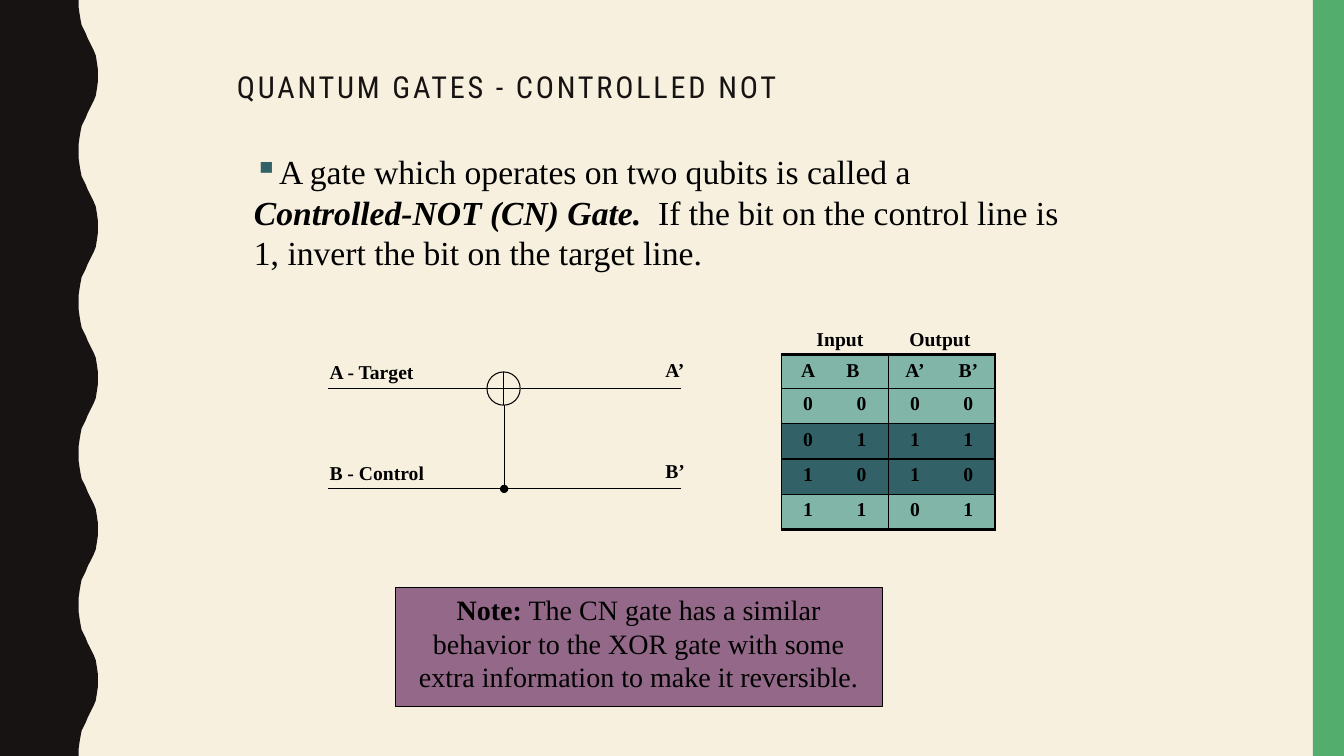
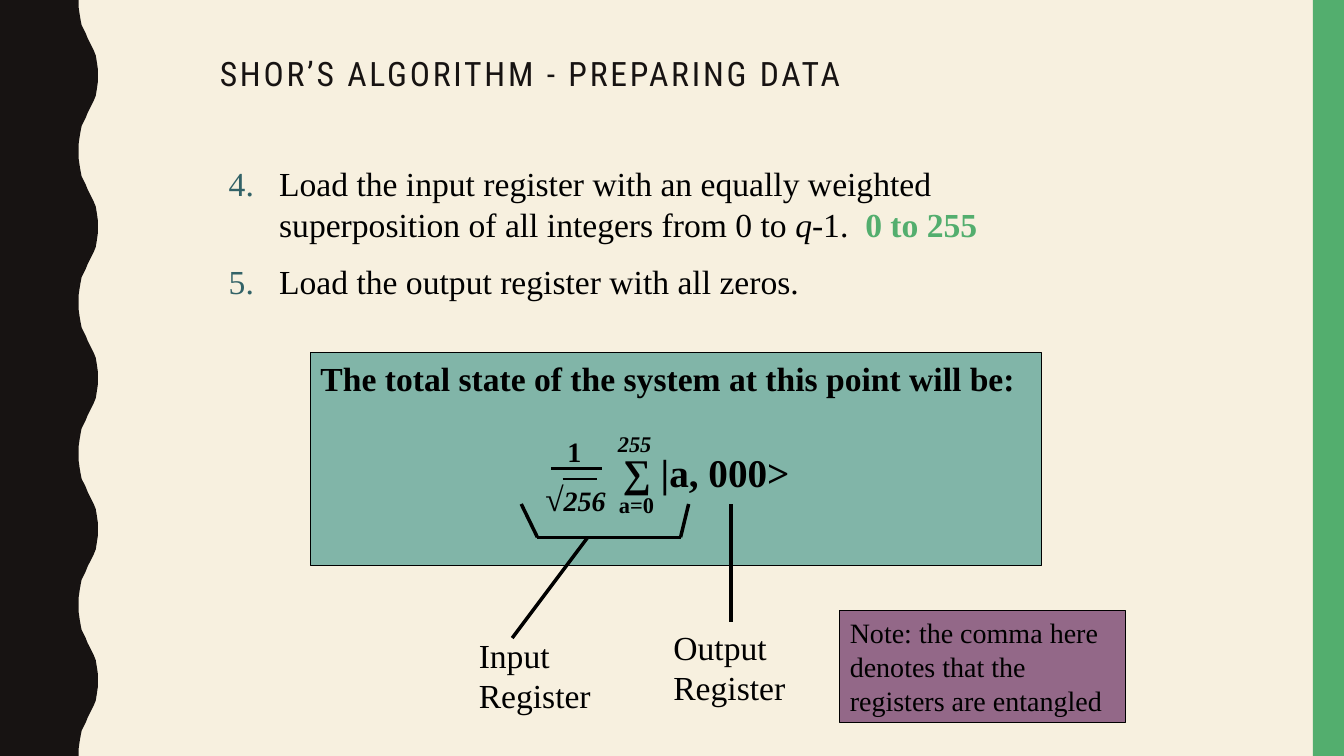
from lxml import etree
from pptx import Presentation
from pptx.dml.color import RGBColor
from pptx.enum.shapes import MSO_CONNECTOR, MSO_SHAPE
from pptx.enum.text import MSO_ANCHOR, MSO_AUTO_SIZE, PP_ALIGN
from pptx.oxml.ns import qn
from pptx.util import Inches, Pt

STRAIGHT = MSO_CONNECTOR.STRAIGHT
RECT, GATE = MSO_SHAPE.RECTANGLE, MSO_SHAPE.FLOWCHART_OR
TOP, MIDDLE = MSO_ANCHOR.TOP, MSO_ANCHOR.MIDDLE
LEFT, CENTER = PP_ALIGN.LEFT, PP_ALIGN.CENTER
NO_FIT = MSO_AUTO_SIZE.NONE

COLORS = {
    "paper": "F7F0DF", "ink": "171312", "black": "000000", "green": "53AE6E",
    "teal": "326267", "mint": "81B5A8", "plum": "936888",
}
TITLE_FONT, BODY_FONT = "Roboto Condensed", "Times New Roman"
WAVE_PERIOD, WAVE_COUNT = 150, 5
HALF_WAVE = [(78, 0), (78, 7), (79, 14), (80, 20), (81, 25), (83, 29), (85, 33),
             (87, 38), (89, 42), (91, 46), (93, 50), (95, 55), (96, 61), (97, 68), (97, 75)]


def rgb(name):
    return RGBColor.from_string(COLORS[name])


def add_text(p, text, size=24, font=BODY_FONT, color="black", bold=False, italic=False, spacing=0):
    r = p.add_run()
    r.text = text
    r.font.size, r.font.name = Pt(size), font
    r.font.bold, r.font.italic = bold, italic
    r.font.color.rgb = rgb(color)
    if spacing:
        r.font._element.set("spc", str(spacing * 100))


def add_box(slide, x, y, w, h):
    sp = slide.shapes.add_textbox(Inches(x), Inches(y), Inches(w), Inches(h))
    sp.text_frame.word_wrap = True
    return sp.text_frame


def add_label(slide, text, x, y, w, h, **fmt):
    add_text(add_box(slide, x, y, w, h).paragraphs[0], text, **fmt)


def add_shape(slide, kind, x, y, w, h, fill=None, line=None):
    sp = slide.shapes.add_shape(kind, Inches(x), Inches(y), Inches(w), Inches(h))
    paint(sp, fill, line)
    return sp


def paint(sp, fill, line=None):
    sp.shadow.inherit = False
    if fill:
        sp.fill.solid()
        sp.fill.fore_color.rgb = rgb(fill)
    else:
        sp.fill.background()
    if line:
        sp.line.color.rgb = rgb("black")
        sp.line.width = Pt(line)
    else:
        sp.line.fill.background()


def add_panel(slide, x, y, w, h, fill, align=LEFT):
    tf = add_shape(slide, RECT, x, y, w, h, fill, 0.75).text_frame
    tf.word_wrap, tf.vertical_anchor = True, TOP
    tf.paragraphs[0].alignment = align
    return tf.paragraphs[0]


def add_line(slide, x1, y1, x2, y2, width=0.75, dot=False):
    cxn = slide.shapes.add_connector(STRAIGHT, Inches(x1), Inches(y1), Inches(x2), Inches(y2))
    cxn.line.color.rgb = rgb("black")
    cxn.line.width = Pt(width)
    if dot:
        etree.SubElement(cxn.line._get_or_add_ln(), qn("a:tailEnd"), type="oval")
    etree.SubElement(cxn._element.spPr, qn("a:effectLst"))


def add_bullet(p, tag, indent=0, **attrs):
    pPr = p._p.get_or_add_pPr()
    pPr.set("marL", str(Inches(indent)))
    pPr.set("indent", str(-Inches(indent)))
    clr = etree.SubElement(pPr, qn("a:buClr"))
    etree.SubElement(clr, qn("a:srgbClr"), val=COLORS["teal"])
    etree.SubElement(pPr, qn(tag), **attrs)


def add_wave(slide):
    edge = []
    for k in range(WAVE_COUNT):
        start, end = k * WAVE_PERIOD, (k + 1) * WAVE_PERIOD
        edge += [(x, start + y) for x, y in HALF_WAVE]
        edge += [(x, end - y) for x, y in reversed(HALF_WAVE[:-1])]
    fb = slide.shapes.build_freeform(0, 0, scale=Inches(0.01))
    fb.add_line_segments(edge + [(0, WAVE_COUNT * WAVE_PERIOD)], close=True)
    paint(fb.convert_to_shape(), "ink")


def add_slide(prs, title, x, y, w, h, size):
    slide = prs.slides.add_slide(prs.slide_layouts[5])
    add_wave(slide)
    add_shape(slide, RECT, 13.02, 0, 0.31, 7.5, "green")
    sp = slide.shapes.title
    sp.left, sp.top, sp.width, sp.height = Inches(x), Inches(y), Inches(w), Inches(h)
    tf = sp.text_frame
    tf.word_wrap, tf.auto_size, tf.vertical_anchor = True, NO_FIT, MIDDLE
    p = tf.paragraphs[0]
    p.alignment, p.line_spacing = LEFT, 0.9
    add_text(p, title, size=size, font=TITLE_FONT, color="ink", spacing=2)
    return slide


def set_borders(cell, **widths):
    tcPr = cell._tc.get_or_add_tcPr()
    for side in "LRTB":
        width = widths[side]
        ln = etree.SubElement(tcPr, qn("a:ln" + side), w=str(Pt(width)))
        if width:
            fill = etree.SubElement(ln, qn("a:solidFill"))
            etree.SubElement(fill, qn("a:srgbClr"), val=COLORS["black"])
        else:
            etree.SubElement(ln, qn("a:noFill"))


def add_truth_table(slide, rows, x, y, col_w, row_heights):
    n_rows, n_cols = len(rows), len(rows[0])
    frame = slide.shapes.add_table(n_rows, n_cols, Inches(x), Inches(y),
                                   Inches(col_w * n_cols), Inches(sum(row_heights)))
    table = frame.table
    table.first_row = table.horz_banding = False
    for col in table.columns:
        col.width = Inches(col_w)
    for i, values in enumerate(rows):
        table.rows[i].height = Inches(row_heights[i])
        for j, value in enumerate(values):
            cell = table.cell(i, j)
            set_borders(cell, L=1 if j in (0, 2) else 0,
                        R={1: 1, n_cols - 1: 2.25}.get(j, 0),
                        T=2.25 if i == 0 else 1,
                        B=2.25 if i == n_rows - 1 else 1)
            cell.fill.solid()
            cell.fill.fore_color.rgb = rgb("teal" if i in (2, 3) else "mint")
            if value == "B":
                cell.margin_right = Inches(0.27)
            p = cell.text_frame.paragraphs[0]
            p.alignment = CENTER
            add_text(p, value, size=14, bold=True)


def build_gate_slide(prs):
    slide = add_slide(prs, "QUANTUM GATES - CONTROLLED NOT", 2.25, 0.67, 9, 0.42, 21.6)
    p = add_box(slide, 2.42, 1.45, 8.28, 1.31).paragraphs[0]
    add_bullet(p, "a:buChar", char="▪")
    add_text(p, "A gate which operates on two qubits is called a ")
    add_text(p, "Controlled-NOT (CN) Gate.  ", bold=True, italic=True)
    add_text(p, "If the bit on the control line is 1, invert the bit on the target line.")

    add_shape(slide, GATE, 4.83, 3.69, 0.33, 0.33, line=0.75)
    add_line(slide, 4.83, 3.85, 3.25, 3.85)
    add_line(slide, 6.75, 3.85, 5.17, 3.85)
    add_line(slide, 3.25, 4.85, 6.75, 4.85)
    add_line(slide, 5, 4.02, 5, 4.85, dot=True)
    for text, x, y, w in [("A - Target", 3.17, 3.52, 1.25), ("B - Control", 3.17, 4.52, 1.17),
                          ("A’", 6.5, 3.5, 0.52), ("B’", 6.5, 4.5, 0.52),
                          ("Input", 8, 3.19, 0.73), ("Output", 8.92, 3.19, 0.92)]:
        add_label(slide, text, x, y, w, 0.33, size=14, bold=True)

    rows = [("A", "B", "A’", "B’"), "0000", "0111", "1010", "1101"]
    add_truth_table(slide, rows, 7.75, 3.52, 0.53, [0.33] + [0.35] * 4)

    p = add_panel(slide, 3.92, 5.83, 4.83, 1.18, "plum", CENTER)
    add_text(p, "Note:", size=20, bold=True)
    add_text(p, " The CN gate has a similar behavior to the XOR gate with some "
                "extra information to make it reversible.", size=20)


def build_shor_slide(prs):
    slide = add_slide(prs, "SHOR’S ALGORITHM - PREPARING DATA", 2.08, 0.5, 9, 0.5, 24)
    tf = add_box(slide, 2.17, 1.57, 8.92, 1.51)
    load_input, load_output = tf.paragraphs[0], tf.add_paragraph()
    for p in (load_input, load_output):
        add_bullet(p, "a:buAutoNum", 0.5, type="arabicPeriod", startAt="4")
    add_text(load_input, "Load the input register with an equally weighted "
                         "superposition of all integers from 0 to ")
    add_text(load_input, "q", italic=True)
    add_text(load_input, "-1.  ")
    add_text(load_input, "0 to 255", color="green", bold=True)
    load_output.space_before = Pt(12)
    add_text(load_output, "Load the output register with all zeros.")

    p = add_panel(slide, 3.08, 3.5, 7.25, 2.11, "mint")
    add_text(p, "The total state of the system at this point will be:", bold=True)

    add_line(slide, 5.47, 4.65, 5.97, 4.65, 1.75)
    add_line(slide, 5.58, 4.75, 5.92, 4.75, 1.75)
    add_label(slide, "1", 5.53, 4.26, 0.33, 0.43, size=20, bold=True)
    p = add_box(slide, 5.31, 4.69, 1.03, 0.5).paragraphs[0]
    add_text(p, "√", bold=True)
    add_text(p, "256", size=20, bold=True, italic=True)
    add_label(slide, "∑ |a, 000>", 6.08, 4.4, 2.08, 0.57, size=28, bold=True)
    add_label(slide, "a=0", 6.04, 4.82, 0.58, 0.37, size=16, bold=True)
    add_label(slide, "255", 6.03, 4.22, 0.58, 0.37, size=16, bold=True, italic=True)

    for ends in [(5.33, 5.33, 6.75, 5.33), (6.75, 5.33, 6.83, 5), (5.33, 5.33, 5.17, 5),
                 (5.83, 5.33, 5.08, 6.33), (7.25, 5, 7.25, 6.17)]:
        add_line(slide, *ends, width=2.5)
    add_label(slide, "Input Register", 4.65, 6.25, 1.35, 0.91)
    add_label(slide, "Output Register", 6.58, 6.17, 1.35, 0.91)

    p = add_panel(slide, 8.33, 6.06, 2.83, 1.11, "plum")
    add_text(p, "Note: the comma here denotes that the registers are entangled", size=20)


def main():
    prs = Presentation()
    prs.slide_width, prs.slide_height = Inches(13.33), Inches(7.5)
    background = prs.slide_master.background.fill
    background.solid()
    background.fore_color.rgb = rgb("paper")
    build_gate_slide(prs)
    build_shor_slide(prs)
    prs.save("out.pptx")


if __name__ == "__main__":
    main()
